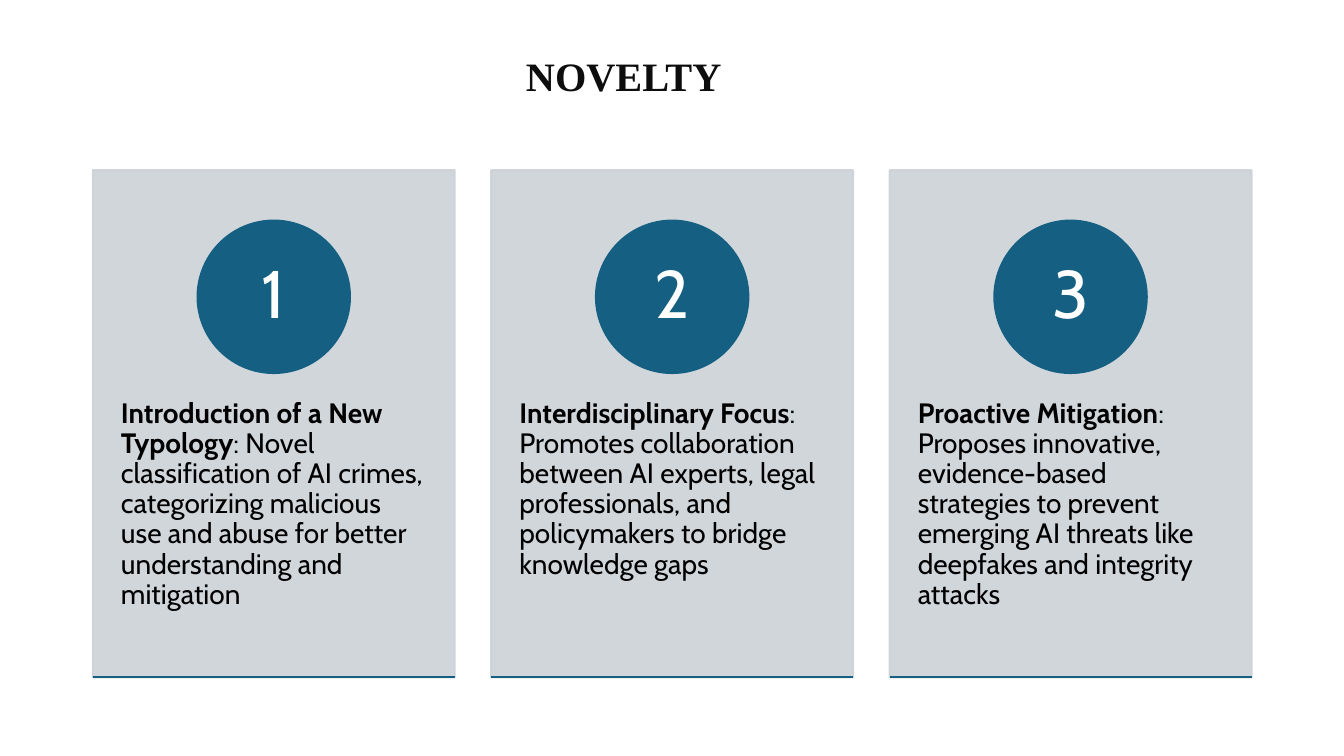
from dataclasses import dataclass

from lxml.etree import SubElement
from pptx import Presentation
from pptx.dml.color import RGBColor
from pptx.enum.shapes import MSO_CONNECTOR, MSO_SHAPE
from pptx.enum.text import MSO_ANCHOR, PP_ALIGN
from pptx.oxml.ns import qn
from pptx.shapes.autoshape import Shape
from pptx.slide import Slide
from pptx.text.text import TextFrame, _Paragraph
from pptx.util import Cm, Pt


@dataclass(frozen=True)
class Theme:
    panel: RGBColor = RGBColor(0xCC, 0xD2, 0xD8)
    accent: RGBColor = RGBColor(0x15, 0x60, 0x82)
    title: RGBColor = RGBColor(0x0D, 0x0D, 0x0D)
    body: RGBColor = RGBColor(0, 0, 0)
    number: RGBColor = RGBColor(0xFF, 0xFF, 0xFF)
    title_font: str = "Times New Roman"
    body_font: str = "Cabin"
    title_size: float = 28.8
    body_size: float = 20
    number_size: float = 48
    line_width: float = 1.5
    panel_opacity: int = 90


@dataclass(frozen=True)
class Card:
    heading: str
    description: str


THEME = Theme()
CARDS = [
    Card("Introduction of a New Typology",
         ": Novel classification of AI crimes, categorizing malicious use and abuse "
         "for better understanding and mitigation"),
    Card("Interdisciplinary Focus",
         ": Promotes collaboration between AI experts, legal professionals, and "
         "policymakers to bridge knowledge gaps"),
    Card("Proactive Mitigation",
         ": Proposes innovative, evidence-based strategies to prevent emerging AI "
         "threats like deepfakes and integrity attacks"),
]

CARD_LEFT, CARD_TOP = 2.34, 4.29
CARD_WIDTH, CARD_HEIGHT = 9.12, 12.78
CARD_PITCH = 10.04
CIRCLE_TOP, CIRCLE_SIZE = 5.56, 3.84
BODY_TOP, BODY_HEIGHT = 9.14, 7.67


def add_run(paragraph: _Paragraph, text: str, font_name: str, size: float,
            color: RGBColor, bold: bool = False) -> None:
    run = paragraph.add_run()
    run.text = text
    run.font.name = font_name
    run.font.size = Pt(size)
    run.font.bold = bold
    run.font.color.rgb = color


def prepare_text(frame: TextFrame, horizontal: float, vertical: float,
                 anchor: MSO_ANCHOR, alignment: PP_ALIGN) -> _Paragraph:
    """Set insets (in cm) and layout, and return the first paragraph."""
    frame.word_wrap = True
    frame.margin_left = frame.margin_right = Cm(horizontal)
    frame.margin_top = frame.margin_bottom = Cm(vertical)
    frame.vertical_anchor = anchor
    paragraph = frame.paragraphs[0]
    paragraph.alignment = alignment
    paragraph.line_spacing = 0.9
    return paragraph


def add_filled_shape(slide: Slide, kind: MSO_SHAPE, left: float, top: float,
                     width: float, height: float, color: RGBColor) -> Shape:
    shape = slide.shapes.add_shape(kind, Cm(left), Cm(top), Cm(width), Cm(height))
    shape.shadow.inherit = False
    shape.fill.solid()
    shape.fill.fore_color.rgb = color
    shape.line.color.rgb = color
    shape.line.width = Pt(THEME.line_width)
    return shape


def set_opacity(shape: Shape, percent: int) -> None:
    """Apply the opacity to both fill and outline."""
    for color in shape.element.spPr.iter(qn("a:srgbClr")):
        SubElement(color, qn("a:alpha"), val=str(percent * 1000))


def add_title(slide: Slide, text: str) -> None:
    box = slide.shapes.add_textbox(Cm(2.34), Cm(1.2), Cm(26.76), Cm(1.55))
    paragraph = prepare_text(box.text_frame, 0.25, 0.13,
                             MSO_ANCHOR.MIDDLE, PP_ALIGN.CENTER)
    add_run(paragraph, text, THEME.title_font, THEME.title_size, THEME.title, True)


def add_base_line(slide: Slide, left: float) -> None:
    bottom = Cm(CARD_TOP + CARD_HEIGHT)
    line = slide.shapes.add_connector(MSO_CONNECTOR.STRAIGHT, Cm(left), bottom,
                                      Cm(left + CARD_WIDTH), bottom)
    line.line.color.rgb = THEME.accent
    line.line.width = Pt(THEME.line_width)
    SubElement(line.element.spPr, qn("a:effectLst"))


def add_card(slide: Slide, number: int, card: Card) -> None:
    left = CARD_LEFT + (number - 1) * CARD_PITCH
    panel = add_filled_shape(slide, MSO_SHAPE.RECTANGLE, left, CARD_TOP,
                             CARD_WIDTH, CARD_HEIGHT, THEME.panel)
    set_opacity(panel, THEME.panel_opacity)

    body = slide.shapes.add_textbox(Cm(left), Cm(BODY_TOP),
                                    Cm(CARD_WIDTH), Cm(BODY_HEIGHT))
    paragraph = prepare_text(body.text_frame, 0.71, 0.91,
                             MSO_ANCHOR.TOP, PP_ALIGN.LEFT)
    for text, bold in ((card.heading, True), (card.description, False)):
        add_run(paragraph, text, THEME.body_font, THEME.body_size, THEME.body, bold)

    circle = add_filled_shape(slide, MSO_SHAPE.OVAL,
                              left + (CARD_WIDTH - CIRCLE_SIZE) / 2, CIRCLE_TOP,
                              CIRCLE_SIZE, CIRCLE_SIZE, THEME.accent)
    paragraph = prepare_text(circle.text_frame, 0.3, 0.03,
                             MSO_ANCHOR.MIDDLE, PP_ALIGN.CENTER)
    add_run(paragraph, str(number), THEME.body_font, THEME.number_size, THEME.number)

    add_base_line(slide, left)


def main() -> None:
    presentation = Presentation()
    presentation.slide_width = Cm(33.87)
    presentation.slide_height = Cm(19.05)
    slide = presentation.slides.add_slide(presentation.slide_layouts[6])
    add_title(slide, "NOVELTY")
    for number, card in enumerate(CARDS, start=1):
        add_card(slide, number, card)
    presentation.save("out.pptx")


if __name__ == "__main__":
    main()
